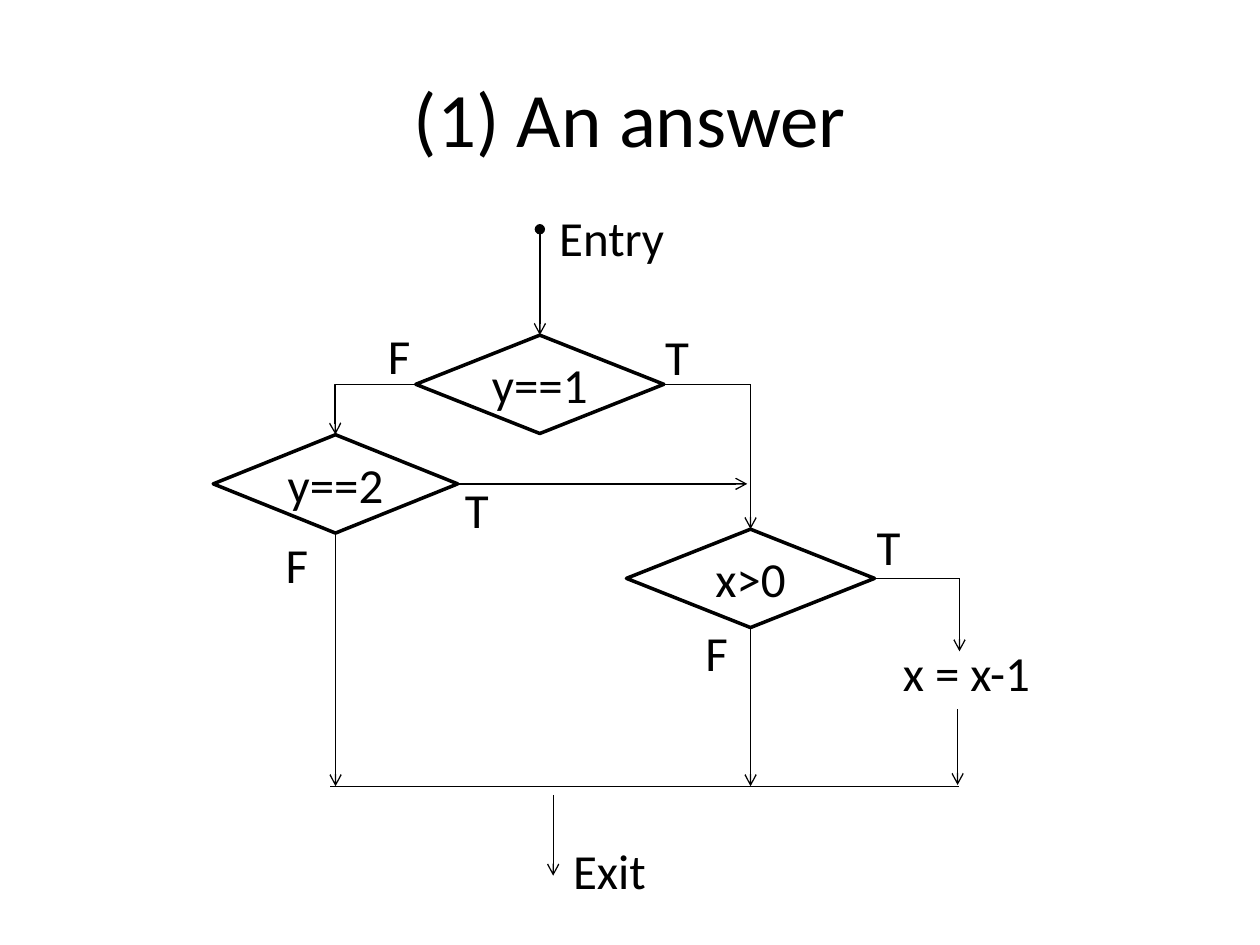
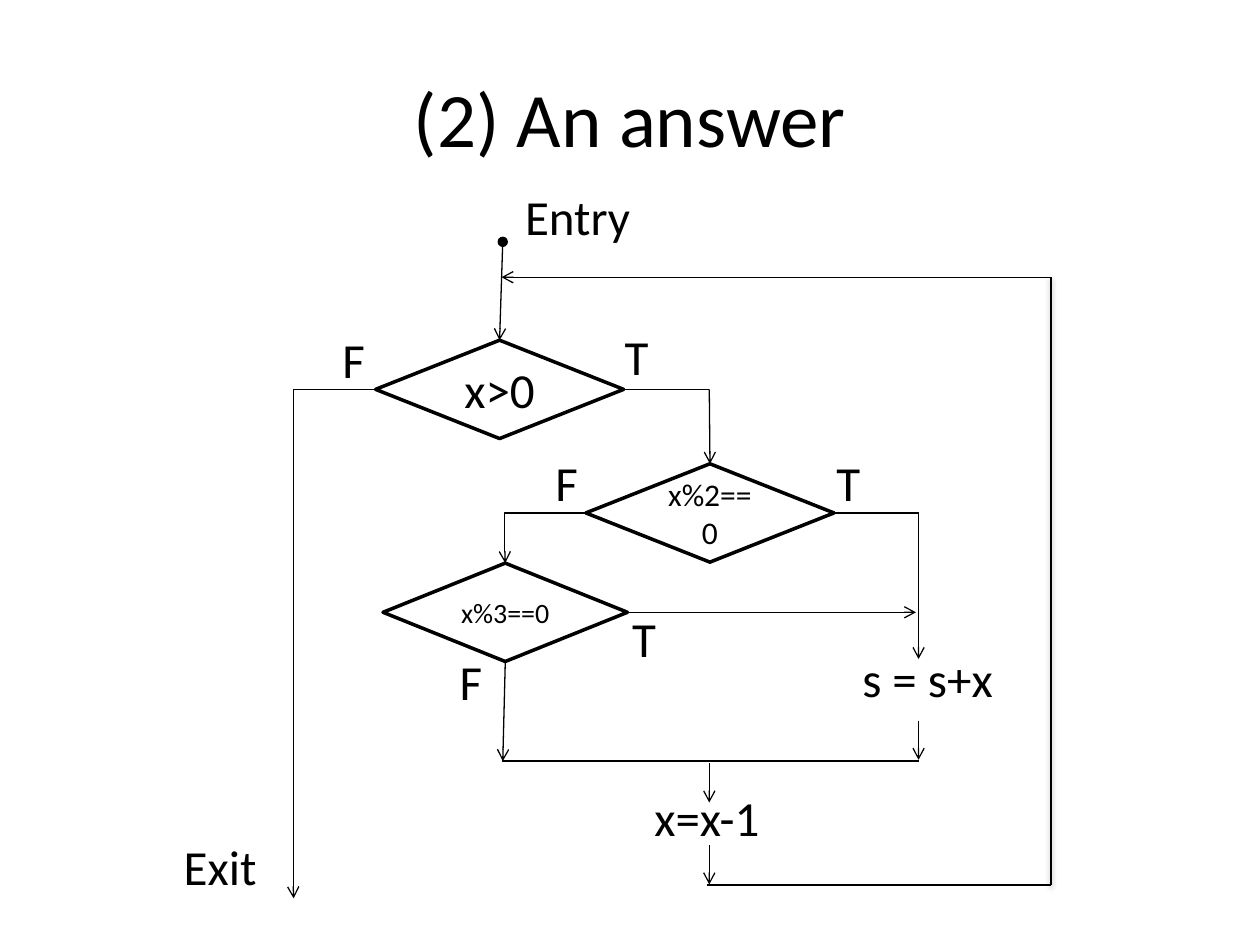
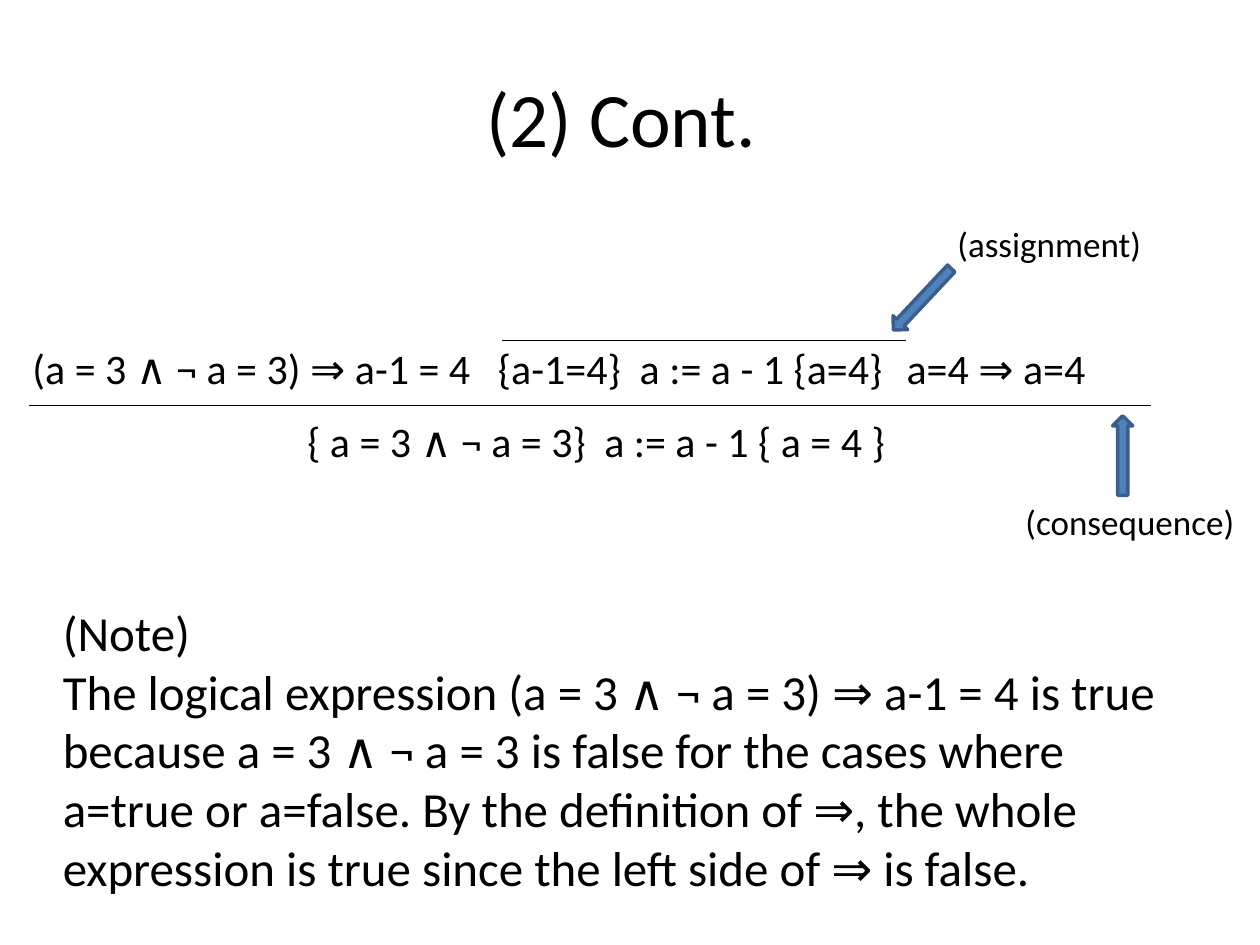
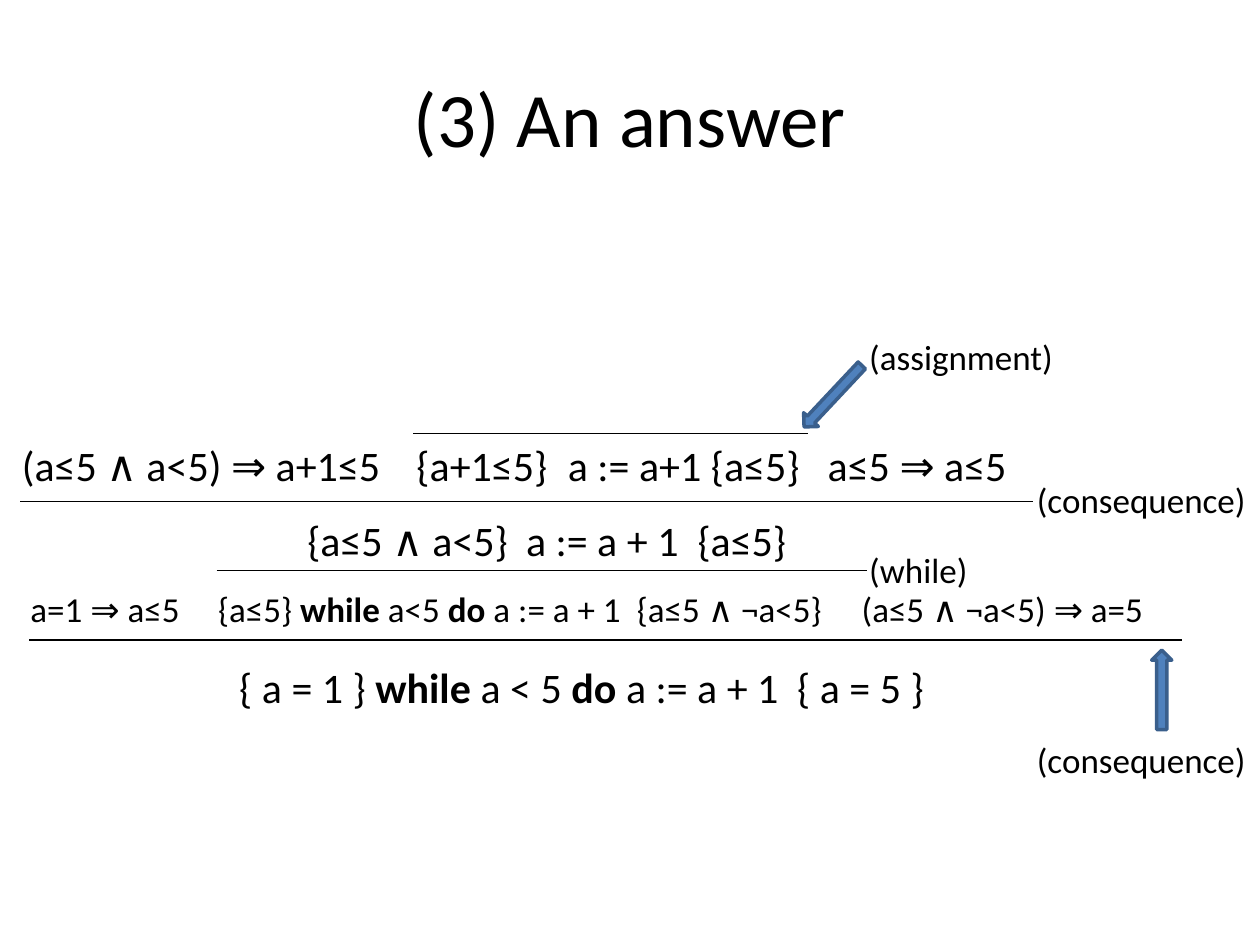
from dataclasses import dataclass
from typing import NamedTuple, Union

from lxml.etree import SubElement
from pptx import Presentation
from pptx.dml.color import RGBColor
from pptx.enum.shapes import MSO_CONNECTOR, MSO_SHAPE
from pptx.enum.text import MSO_ANCHOR, MSO_AUTO_SIZE, PP_ALIGN
from pptx.oxml.ns import qn
from pptx.util import Pt

COLORS = {"ink": "000000", "arrow": "4F81BD", "arrow_edge": "3A5F8C"}
FONT = "Calibri"
TITLE_SIZE, FLOW_SIZE, FORMULA_SIZE, RULE_SIZE = 44, 28, 24, 20
TOP, LEFT, BOTTOM, RIGHT = range(4)
DIAMOND_HEIGHT = 56.2
WIDE, NARROW = 141.8, 139.7
WORD_WIDTHS = {"F": 27.4, "T": 28.1, "Entry": 76.3, "Exit": 56.9,
               "x = x-1": 88.8, "s = s+x": 90.3, "x=x-1": 75.9,
               "(assignment)": 121, "(consequence)": 135.4, "(while)": 71.3}


# What the slides are made of; every length is in points
class Point(NamedTuple):
    x: float
    y: float


class Port(NamedTuple):
    """The middle of one side of a named decision."""
    decision: str
    side: int


End = Union[Point, Port]


class Decision(NamedTuple):
    text: str
    left: float
    top: float
    width: float = WIDE
    size: float = FLOW_SIZE


class Word(NamedTuple):
    text: str
    left: float
    top: float


@dataclass
class Line:
    start: End
    end: End
    head: str = ""
    tail: str = ""
    elbow: bool = False
    shadow: bool = False


@dataclass
class Passage:
    """Wrapped text; asterisks enclose bold spans, stops place the tabs."""
    text: str
    left: float
    top: float
    width: float
    size: float = FORMULA_SIZE
    stops: tuple = ()
    lines: int = 1


class Pointer(NamedTuple):
    left: float
    top: float
    height: float
    rotation: float


def arrow(start: End, end: End, **options) -> Line:
    return Line(start, end, tail="arrow", **options)


def color(name: str) -> RGBColor:
    return RGBColor.from_string(COLORS[name])


# Text
def add_span(para, text: str, size: float, bold: bool = False) -> None:
    span = para.add_run()
    span.text = text
    span.font.name = FONT
    span.font.size = Pt(size)
    span.font.color.rgb = color("ink")
    if bold:
        span.font.bold = True


def add_title(page, text: str) -> None:
    box = page.shapes.add_textbox(Pt(36), Pt(21.6), Pt(648), Pt(90))
    frame = box.text_frame
    frame.word_wrap = True
    frame.vertical_anchor = MSO_ANCHOR.MIDDLE
    frame.paragraphs[0].alignment = PP_ALIGN.CENTER
    add_span(frame.paragraphs[0], text, TITLE_SIZE)


def add_passage(page, item: Passage, wrap: bool = True) -> None:
    height = 7.2 + 1.2 * item.size * item.lines
    box = page.shapes.add_textbox(Pt(item.left), Pt(item.top), Pt(item.width), Pt(height))
    frame = box.text_frame
    frame.word_wrap = wrap
    frame.auto_size = MSO_AUTO_SIZE.SHAPE_TO_FIT_TEXT
    for number, text in enumerate(item.text.split("\n")):
        para = frame.add_paragraph() if number else frame.paragraphs[0]
        if item.stops:
            tabs = SubElement(para._p.get_or_add_pPr(), qn("a:tabLst"))
            for stop in item.stops:
                SubElement(tabs, qn("a:tab"), pos=str(int(Pt(stop))), algn="l")
        for index, part in enumerate(text.split("*")):
            add_span(para, part, item.size, bold=index % 2 == 1)


def add_word(page, word: Word, size: float) -> None:
    passage = Passage(word.text, word.left, word.top, WORD_WIDTHS[word.text], size)
    add_passage(page, passage, wrap=False)


# Shapes
def add_decision(page, item: Decision):
    shape = page.shapes.add_shape(MSO_SHAPE.DIAMOND, Pt(item.left), Pt(item.top),
                                  Pt(item.width), Pt(DIAMOND_HEIGHT))
    shape.shadow.inherit = False
    shape.fill.background()
    shape.line.color.rgb = color("ink")
    shape.line.width = Pt(2)
    frame = shape.text_frame
    frame.word_wrap = True
    frame.vertical_anchor = MSO_ANCHOR.MIDDLE
    frame.paragraphs[0].alignment = PP_ALIGN.CENTER
    add_span(frame.paragraphs[0], item.text, item.size)
    return shape


def add_pointer(page, item: Pointer) -> None:
    shape = page.shapes.add_shape(MSO_SHAPE.DOWN_ARROW, Pt(item.left), Pt(item.top),
                                  Pt(11.5), Pt(item.height))
    shape.rotation = item.rotation
    shape.shadow.inherit = False
    shape.fill.solid()
    shape.fill.fore_color.rgb = color("arrow")
    shape.line.color.rgb = color("arrow_edge")
    shape.line.width = Pt(2)


def locate(end: End, decisions: dict) -> Point:
    if isinstance(end, Point):
        return end
    shape = decisions[end.decision]
    across = {LEFT: 0, RIGHT: 1}.get(end.side, 0.5)
    down = {TOP: 0, BOTTOM: 1}.get(end.side, 0.5)
    return Point(shape.left.pt + across * shape.width.pt,
                 shape.top.pt + down * shape.height.pt)


def add_line(page, item: Line, decisions: dict) -> None:
    start, end = locate(item.start, decisions), locate(item.end, decisions)
    kind = MSO_CONNECTOR.ELBOW if item.elbow else MSO_CONNECTOR.STRAIGHT
    line = page.shapes.add_connector(kind, Pt(start.x), Pt(start.y), Pt(end.x), Pt(end.y))
    line.line.color.rgb = color("ink")
    line.line.width = Pt(0.75)
    properties = line.element.spPr
    outline = properties.find(qn("a:ln"))
    for tag, kind_name in (("a:headEnd", item.head), ("a:tailEnd", item.tail)):
        if kind_name:
            SubElement(outline, qn(tag), type=kind_name)
    effects = SubElement(properties, qn("a:effectLst"))
    if item.shadow:
        shadow = SubElement(effects, qn("a:outerShdw"), blurRad=str(int(Pt(3.1))),
                            dist=str(int(Pt(1.6))), dir="5400000", rotWithShape="0")
        shade = SubElement(shadow, qn("a:srgbClr"), val=COLORS["ink"])
        SubElement(shade, qn("a:alpha"), val="38000")
    if item.elbow:
        # Turn only above the end point, so that the arrow comes down on it
        geometry = properties.find(qn("a:prstGeom"))
        guides = geometry.find(qn("a:avLst"))
        if guides is None:
            guides = SubElement(geometry, qn("a:avLst"))
        SubElement(guides, qn("a:gd"), name="adj1", fmla="val 100500")
        return
    if isinstance(item.start, Port):
        line.begin_connect(decisions[item.start.decision], item.start.side)
    if isinstance(item.end, Port):
        line.end_connect(decisions[item.end.decision], item.end.side)


# Slides
def add_page(deck, title: str):
    page = deck.slides.add_slide(deck.slide_layouts[6])
    add_title(page, title)
    return page


def add_flowchart(deck, title: str, decisions: list, lines: list, words: list) -> None:
    page = add_page(deck, title)
    shapes = {item.text: add_decision(page, item) for item in decisions}
    for line in lines:
        add_line(page, line, shapes)
    for word in words:
        add_word(page, word, FLOW_SIZE)


def add_proof(deck, title: str, bars: list, passages: list, rules: list,
              pointers: list) -> None:
    page = add_page(deck, title)
    for left, right, y in bars:
        add_line(page, Line(Point(left, y), Point(right, y)), {})
    for passage in passages:
        add_passage(page, passage)
    for rule in rules:
        add_word(page, rule, RULE_SIZE)
    for pointer in pointers:
        add_pointer(page, pointer)


def build_branches(deck) -> None:
    merge, then_x, step_x = 449.3, 428.9, 548.3
    add_flowchart(
        deck, "(1) An answer",
        [Decision("y==1", 237.6, 191.5),
         Decision("y==2", 121.9, 248.4, NARROW),
         Decision("x>0", 358, 302.4)],
        [arrow(Point(308.5, 131), Port("y==1", TOP), head="oval"),
         arrow(Port("y==1", LEFT), Port("y==2", TOP), elbow=True),
         Line(Point(then_x, 219.6), Port("y==1", RIGHT)),
         arrow(Point(then_x, 219.6), Port("x>0", TOP)),
         arrow(Port("y==2", RIGHT), Point(427, 276.5)),
         arrow(Port("y==2", BOTTOM), Point(191.75, merge)),
         Line(Point(step_x, 330.5), Port("x>0", RIGHT)),
         arrow(Point(step_x, 330.5), Point(step_x, 372.2)),
         arrow(Point(547.2, 405.4), Point(547.2, 448.6)),
         arrow(Port("x>0", BOTTOM), Point(then_x, merge)),
         Line(Point(188.6, merge), Point(step_x, merge)),
         arrow(Point(316.1, 454.3), Point(316.1, 500.4))],
        [Word("Entry", 312.5, 115.2), Word("Exit", 320.4, 476.6),
         Word("F", 214.6, 182.2), Word("T", 373, 182.9),
         Word("T", 258.5, 270.7), Word("F", 156.2, 301.7),
         Word("T", 493.9, 291.6), Word("F", 396, 352.1),
         Word("x = x-1", 508.8, 363.6)])


def build_loop(deck) -> None:
    merge, add_x, step_x = 434.9, 524.9, 405.3
    loop_x, loop_top, loop_bottom = 600.5, 158.4, 505.8
    add_flowchart(
        deck, "(2) An answer",
        [Decision("x>0", 214.6, 194.4),
         Decision("x%2==0", 334.8, 265, size=18),
         Decision("x%3==0", 218.9, 321.8, NARROW, 16)],
        [arrow(Point(287.3, 138.2), Port("x>0", TOP), head="oval"),
         arrow(Port("x>0", LEFT), Point(167.8, 513.4), elbow=True),
         Line(Point(step_x, 222.5), Port("x>0", RIGHT)),
         arrow(Point(step_x, 222.5), Port("x%2==0", TOP)),
         arrow(Port("x%2==0", LEFT), Port("x%3==0", TOP), elbow=True),
         Line(Point(add_x, 293.1), Port("x%2==0", RIGHT)),
         arrow(Point(add_x, 293.1), Point(add_x, 376.6)),
         arrow(Port("x%3==0", RIGHT), Point(523.4, 349.9)),
         arrow(Port("x%3==0", BOTTOM), Point(287.3, merge)),
         arrow(Point(add_x, 411.8), Point(add_x, 434.2)),
         Line(Point(286.6, merge), Point(add_x, merge)),
         arrow(Point(step_x, 436.3), Point(step_x, 458.6)),
         arrow(Point(step_x, 483.1), Point(step_x, 505.4)),
         Line(Point(403.9, loop_bottom), Point(loop_x, loop_bottom)),
         Line(Point(loop_x, loop_bottom), Point(loop_x, loop_top), shadow=True),
         arrow(Point(loop_x, loop_top), Point(286.6, loop_top))],
        [Word("Entry", 293, 103), Word("Exit", 97.9, 474.5),
         Word("F", 188.6, 185), Word("T", 349.9, 182.9),
         Word("F", 310.3, 254.9), Word("T", 470.9, 254.9),
         Word("T", 354.2, 344.2), Word("F", 255.6, 368.6),
         Word("s = s+x", 485.7, 367.2), Word("x=x-1", 366.9, 446.4)])


def build_consequence(deck) -> None:
    note = ("(Note)\nThe logical expression (a = 3 ∧ ¬ a = 3) ⇒ a-1 = 4 is true because "
            "a = 3 ∧ ¬ a = 3 is false for the cases where a=true or a=false. By the "
            "definition of ⇒, the whole expression is true since the left side of ⇒ is false.")
    add_proof(
        deck, "(2) Cont. ",
        [(16.6, 658, 231.8), (286.6, 517.7, 194.4)],
        [Passage("(a = 3 ∧ ¬ a = 3) ⇒ a-1 = 4\t{a-1=4}\ta := a - 1 {a=4}\ta=4 ⇒ a=4",
                 11.5, 192.2, 669.6, stops=(266, 347, 499.5)),
         Passage("{ a = 3 ∧ ¬ a = 3}\ta := a - 1 { a = 4 }",
                 168.5, 234, 354.2, stops=(169.7,)),
         Passage(note, 28.8, 340.6, 666.7, FLOW_SIZE, lines=5)],
        [Word("(assignment)", 540, 123.8), Word("(consequence)", 578.9, 282.2)],
        [Pointer(635.8, 237.6, 45.4, 180), Pointer(521.3, 146.9, 48.2, 43.2)])


def build_while(deck) -> None:
    add_proof(
        deck, "(3) An answer",
        [(236.2, 461.5, 247.7), (11.5, 590.4, 286.6),
         (123.8, 495.4, 326.2), (16.6, 675.4, 365.8)],
        [Passage("(a≤5 ∧ a<5) ⇒ a+1≤5\t{a+1≤5}\ta := a+1 {a≤5}\ta≤5 ⇒ a≤5",
                 5.4, 247.7, 613, stops=(225.5, 312, 460.5)),
         Passage("{a≤5 ∧ a<5}\ta := a + 1\t{a≤5}",
                 168.5, 290.2, 320.4, stops=(125, 223)),
         Passage("a=1 ⇒ a≤5\t{a≤5} *while *a<5 *do* a := a + 1\t{a≤5 ∧ ¬a<5}\t(a≤5 ∧ ¬a<5) ⇒ a=5",
                 10.3, 331.9, 681.7, RULE_SIZE, (107.3, 346.5, 475)),
         Passage("{ a = 1 } *while *a < 5 *do* a := a + 1\t{ a = 5 }",
                 129.6, 374.4, 438.5, stops=(318.8,))],
        [Word("(assignment)", 489.6, 187.9), Word("(consequence)", 585.4, 270),
         Word("(while)", 489.6, 309.6), Word("(consequence)", 585.4, 418.3)],
        [Pointer(658.1, 371.5, 45.4, 180), Pointer(470.2, 202.3, 48.2, 43.2)])


def main() -> None:
    deck = Presentation()
    deck.slide_width, deck.slide_height = Pt(720), Pt(540)
    for build in (build_branches, build_loop, build_consequence, build_while):
        build(deck)
    deck.save("out.pptx")


if __name__ == "__main__":
    main()
